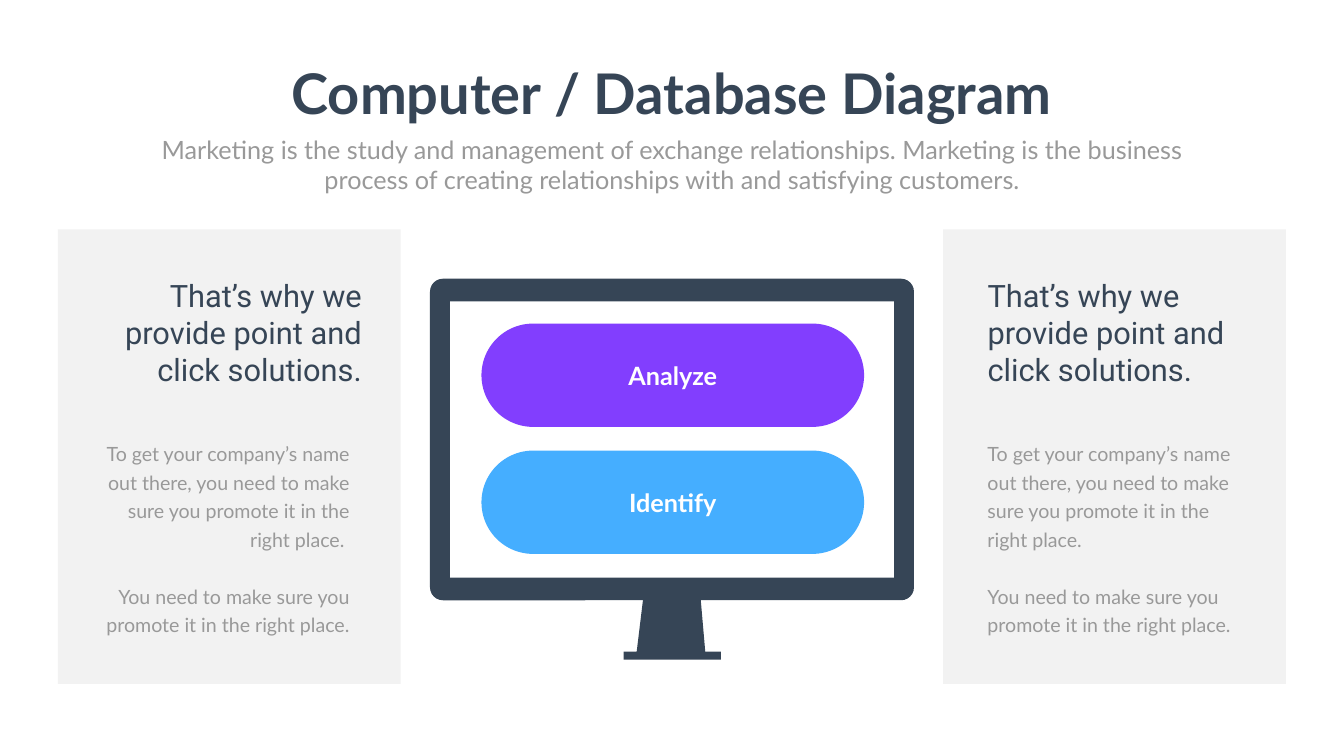
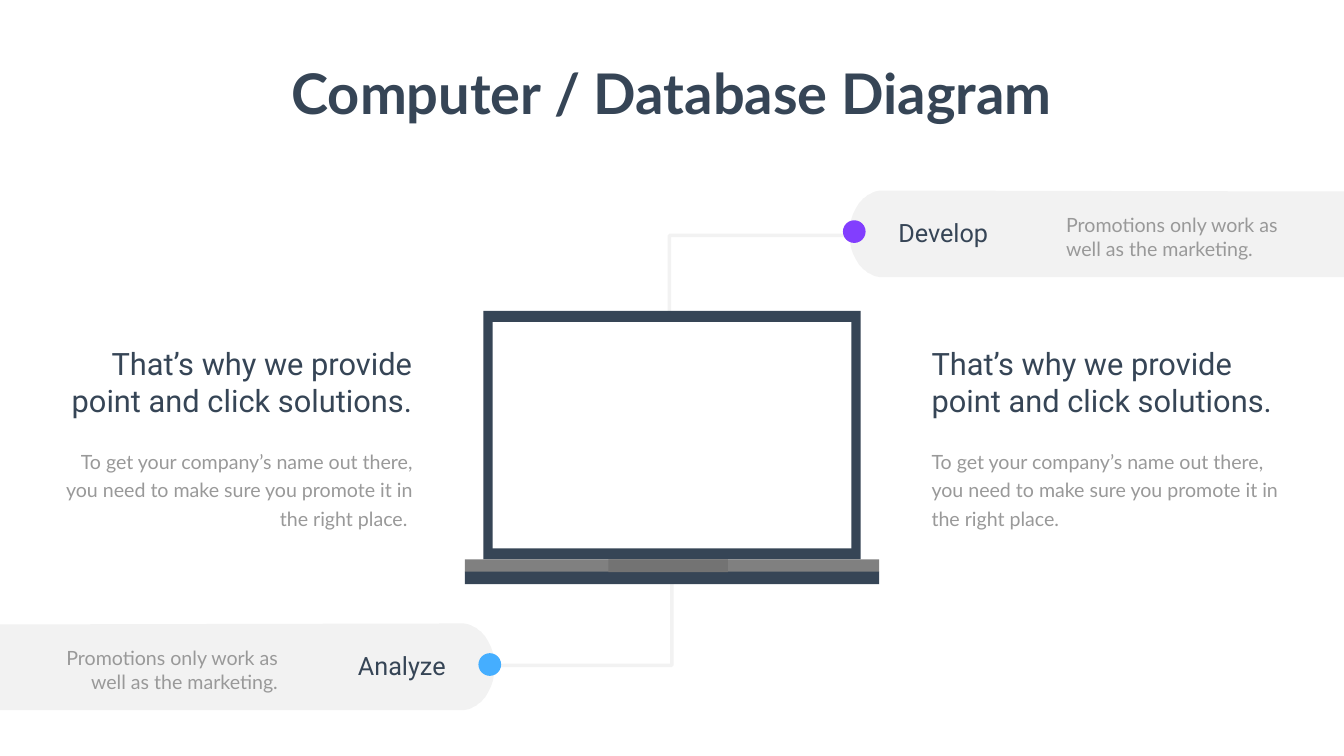
from math import cos, pi, sin
from typing import NamedTuple

from lxml.etree import SubElement
from pptx import Presentation
from pptx.dml.color import RGBColor
from pptx.enum.shapes import MSO_SHAPE as Preset
from pptx.enum.text import MSO_ANCHOR as Anchor, MSO_AUTO_SIZE as AutoSize, PP_ALIGN as Align
from pptx.oxml.ns import qn
from pptx.util import Pt

PX = 9144
COLORS = {
    "navy": "364556", "gray": "808080", "notch": "737373", "text": "999999",
    "tip": "EBEBEB", "white": "FFFFFF", "purple": "823EFE", "blue": "45AEFF",
}
STYLES = {
    "title": ("navy", {"name": "Lato", "size": Pt(80), "bold": True}),
    "subtitle": ("text", {"name": "Lato", "size": Pt(36)}),
    "heading": ("navy", {"name": "Roboto", "size": Pt(44)}),
    "body": ("text", {"name": "Lato", "size": Pt(28)}),
    "pill": ("white", {"name": "Lato", "size": Pt(36), "bold": True}),
    "label": ("navy", {"name": "Roboto", "size": Pt(36)}),
}
BODY_LINE = Pt(40.8)
TITLE = "Computer / Database Diagram"
SUBTITLE = (
    "Marketing is the study and management of exchange relationships. "
    "Marketing is the business process of creating relationships with and satisfying customers."
)
HEADING = "That’s why we provide point and click solutions."
PROMOTE = "To get your company’s name out there, you need to make sure you promote it in the right place."
REMINDER = "You need to make sure you promote it in the right place."
TAB_TEXT = "Promotions only work as well as the marketing."


class Box(NamedTuple):
    left: int
    top: int
    width: int
    height: int

    def inner(self, left, top, width, height, mirrored=False):
        if mirrored:
            left = self.width - left - width
        return Box(self.left + left, self.top + top, width, height)

    def emu(self):
        return [value * PX for value in self]


def paint(fill, color, alpha=100):
    fill.solid()
    fill.fore_color.rgb = RGBColor.from_string(COLORS[color])
    if alpha < 100:
        for element in fill._xPr.iter(qn("a:srgbClr")):
            SubElement(element, qn("a:alpha"), val=str(alpha * 1000))


def add_block(slide, box, color, preset=Preset.RECTANGLE, alpha=100, rounding=None):
    shape = slide.shapes.add_shape(preset, *box.emu())
    shape.shadow.inherit = False
    shape.line.fill.background()
    paint(shape.fill, color, alpha)
    if rounding is not None:
        shape.adjustments[0] = rounding
    return shape


def add_outline(slide, points, closed=True):
    builder = slide.shapes.build_freeform(*points[0], scale=PX)
    builder.add_line_segments(points[1:], close=closed)
    shape = builder.convert_to_shape()
    shape.shadow.inherit = False
    shape.fill.background()
    shape.line.fill.background()
    return shape


def write(text_frame, paragraphs, style, align, line_spacing=None):
    color, font_values = STYLES[style]
    for index, text in enumerate(paragraphs):
        paragraph = text_frame.paragraphs[0] if index == 0 else text_frame.add_paragraph()
        paragraph.alignment = align
        if line_spacing:
            paragraph.line_spacing = line_spacing
        if index:
            paragraph.space_before = line_spacing
        run = paragraph.add_run()
        run.text = text
        for name, value in font_values.items():
            setattr(run.font, name, value)
        run.font.color.rgb = RGBColor.from_string(COLORS[color])


def add_text(slide, box, paragraphs, style, align=Align.LEFT, line_spacing=None, wrap=True):
    text_frame = slide.shapes.add_textbox(*box.emu()).text_frame
    text_frame.word_wrap = wrap
    text_frame.auto_size = AutoSize.SHAPE_TO_FIT_TEXT
    write(text_frame, paragraphs, style, align, line_spacing)


def add_title(slide):
    add_text(slide, Box(560, 112, 1545, 145), [TITLE], "title", Align.CENTER, wrap=False)


def add_panel(slide, box, align, ending):
    add_block(slide, box, "gray", alpha=10)
    body = [PROMOTE + ending, REMINDER + ending]
    add_text(slide, box.inner(78, 407, 510, 407), body, "body", align, BODY_LINE)
    add_text(slide, box.inner(78, 89, 535, 232), [HEADING], "heading", align)


def add_monitor(slide, box):
    stand = [(384, 740), (410, 740), (424, 625), (536, 625), (546, 740),
             (577, 740), (577, 756), (384, 756)]
    foot = add_outline(slide, [(box.left + x, box.top + y) for x, y in stand])
    paint(foot.fill, "navy")
    add_block(slide, box.inner(0, 0, 960, 638), "navy", Preset.ROUNDED_RECTANGLE, rounding=0.04)
    add_block(slide, box.inner(40, 45, 880, 548), "white")
    for row, (label, color) in enumerate([("Analyze", "purple"), ("Identify", "blue")]):
        pill_box = box.inner(102, 89 + row * 252, 759, 205)
        pill = add_block(slide, pill_box, color, Preset.ROUNDED_RECTANGLE, rounding=0.5)
        pill.text_frame.vertical_anchor = Anchor.MIDDLE
        write(pill.text_frame, [label], "pill", Align.CENTER)


def add_wire(slide, start, tip):
    wire = add_outline(slide, [start, (start[0], tip[1]), tip], closed=False)
    wire.line.width = Pt(5)
    paint(wire.line.fill, "gray", 10)
    add_block(slide, Box(tip[0] - 11, tip[1] - 11, 22, 22), "tip", Preset.OVAL)


def add_laptop(slide, box):
    add_block(slide, box.inner(37, 0, 748, 493), "navy")
    add_block(slide, box.inner(55, 22, 712, 449), "white")
    add_block(slide, box.inner(0, 493, 822, 25), "gray")
    add_block(slide, box.inner(0, 517, 822, 25), "navy")
    add_block(slide, box.inner(285, 493, 237, 25), "notch")


def add_tab(slide, box, label, color, mirrored):
    align = Align.RIGHT if mirrored else Align.LEFT
    radius_x, radius_y = 66, box.height / 2
    angles = [pi / 2 + pi * step / 40 for step in range(41)]
    points = [(radius_x + radius_x * cos(angle), radius_y - radius_y * sin(angle)) for angle in angles]
    points += [(box.width, box.height), (box.width, 2)]
    if mirrored:
        points = [(box.width - x, y) for x, y in points]
    tab = add_outline(slide, [(round(box.left + x), round(box.top + y)) for x, y in points])
    paint(tab.fill, "gray", 10)
    add_text(slide, box.inner(420, 40, 450, 104, mirrored), [TAB_TEXT], "body", align)
    add_text(slide, box.inner(87, 49, 346, 71, mirrored), [label], "label", align)
    add_block(slide, box.inner(-13, 59, 45, 45, mirrored), color, Preset.OVAL)


def add_pitch(slide, box, mirrored):
    align = Align.RIGHT if mirrored else Align.LEFT
    body = PROMOTE + " " if mirrored else PROMOTE
    add_text(slide, box.inner(0, 197, 717, 177, mirrored), [body], "body", align, BODY_LINE)
    add_text(slide, box.inner(0, 0, 748, 158, mirrored), [HEADING], "heading", align)


def build_monitor_slide(slide):
    add_monitor(slide, Box(853, 553, 960, 756))
    add_panel(slide, Box(115, 455, 680, 902), Align.RIGHT, " ")
    add_panel(slide, Box(1871, 455, 680, 902), Align.LEFT, "")
    add_title(slide)
    add_text(slide, Box(292, 261, 2082, 131), [SUBTITLE], "subtitle", Align.CENTER)


def build_laptop_slide(slide):
    add_wire(slide, (1333, 984), (976, 1320))
    add_wire(slide, (1328, 802), (1685, 467))
    add_laptop(slide, Box(922, 617, 822, 542))
    add_tab(slide, Box(1685, 378, 981, 172), "Develop", "purple", False)
    add_tab(slide, Box(0, 1237, 981, 172), "Analyze", "blue", True)
    add_pitch(slide, Box(1838, 680, 748, 374), False)
    add_pitch(slide, Box(80, 680, 748, 374), True)
    add_title(slide)


def main():
    presentation = Presentation()
    presentation.slide_width = 2666 * PX
    presentation.slide_height = 1500 * PX
    for build in (build_monitor_slide, build_laptop_slide):
        build(presentation.slides.add_slide(presentation.slide_layouts[6]))
    presentation.save("out.pptx")


if __name__ == "__main__":
    main()
